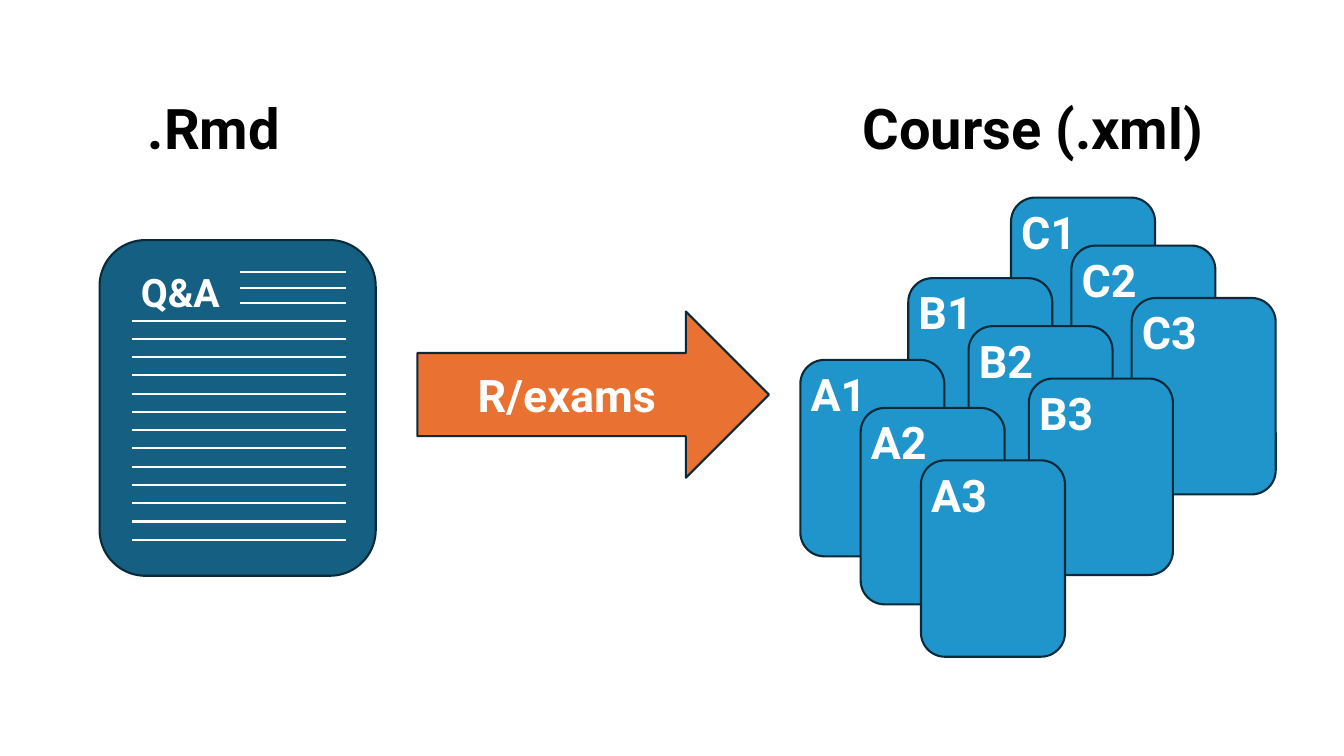
import pptx
import pptx.util
import pptx.dml.color
import pptx.enum.shapes
import pptx.enum.text
import pptx.oxml

Cm = pptx.util.Cm
Pt = pptx.util.Pt
SHAPES = pptx.enum.shapes.MSO_SHAPE
ANCHOR = pptx.enum.text.MSO_ANCHOR

COLORS = {
    "document": "156082",
    "card": "2095CB",
    "arrow": "E97132",
    "outline": "092A39",
    "light": "FFFFFF",
    "heading": "000000",
}
EFFECTS = '<a:effectLst xmlns:a="http://schemas.openxmlformats.org/drawingml/2006/main"/>'


def write(frame, text, size, color):
    """Set one left-aligned bold line in the slide's font."""
    frame.text = text
    frame.word_wrap = True
    line = frame.paragraphs[0]
    line.alignment = pptx.enum.text.PP_ALIGN.LEFT
    font = line.runs[0].font
    font.name, font.size, font.bold = "Roboto", Pt(size), True
    font.color.rgb = pptx.dml.color.RGBColor.from_string(COLORS[color])


def add_block(kind, box, fill, text, size, inset, anchor):
    """Add an outlined shape; inset is the left and top text margin in cm."""
    block = slide.shapes.add_shape(kind, *[Cm(length) for length in box])
    block.shadow.inherit = False
    block.fill.solid()
    block.fill.fore_color.rgb = pptx.dml.color.RGBColor.from_string(COLORS[fill])
    block.line.color.rgb = pptx.dml.color.RGBColor.from_string(COLORS["outline"])
    block.line.width = Pt(1.5)
    frame = block.text_frame
    write(frame, text, size, "light")
    frame.margin_left, frame.margin_top = Cm(inset[0]), Cm(inset[1])
    frame.margin_right = frame.margin_bottom = 0
    frame.vertical_anchor = anchor


deck = pptx.Presentation()
deck.slide_width, deck.slide_height = Cm(33.87), Cm(19.05)
slide = deck.slides.add_slide(deck.slide_layouts[6])

# Source document with its ruled lines
add_block(SHAPES.ROUNDED_RECTANGLE, (2.51, 6.05, 6.96, 8.46), "document",
          "Q&A", 28, (0.7, 0.37), ANCHOR.TOP)
rules = [(6.05, 6.86 + 0.39 * i) for i in range(3)]
rules += [(3.33, 8.08 + 0.46 * i) for i in range(13)]
for left, y in rules:
    rule = slide.shapes.add_connector(
        pptx.enum.shapes.MSO_CONNECTOR.STRAIGHT, Cm(left), Cm(y), Cm(8.71), Cm(y))
    rule.line.color.rgb = pptx.dml.color.RGBColor.from_string(COLORS["light"])
    rule.line.width = Pt(1.5)
    rule._element.spPr.append(pptx.oxml.parse_xml(EFFECTS))

# Conversion step
add_block(SHAPES.RIGHT_ARROW, (10.52, 7.85, 8.86, 4.19), "arrow",
          "R/exams", 32, (1.52, 0), ANCHOR.MIDDLE)

# Column headings
for text, left, width in [(".Rmd", 3.48, 6.17), ("Course (.xml)", 21.49, 9.75)]:
    heading = slide.shapes.add_textbox(Cm(left), Cm(2.24), Cm(width), Cm(1.96))
    write(heading.text_frame, text, 40, "heading")

# Generated variants, from the rearmost group to the front one
for group, left, top in [("C", 25.48, 4.98), ("B", 22.89, 7.01), ("A", 20.17, 9.07)]:
    for number, drop in enumerate((0, 1.21, 2.53)):
        add_block(SHAPES.ROUNDED_RECTANGLE,
                  (left + 1.52 * number, top + drop, 3.63, 4.95), "card",
                  f"{group}{number + 1}", 32, (0.08, 0), ANCHOR.TOP)

deck.save("out.pptx")
